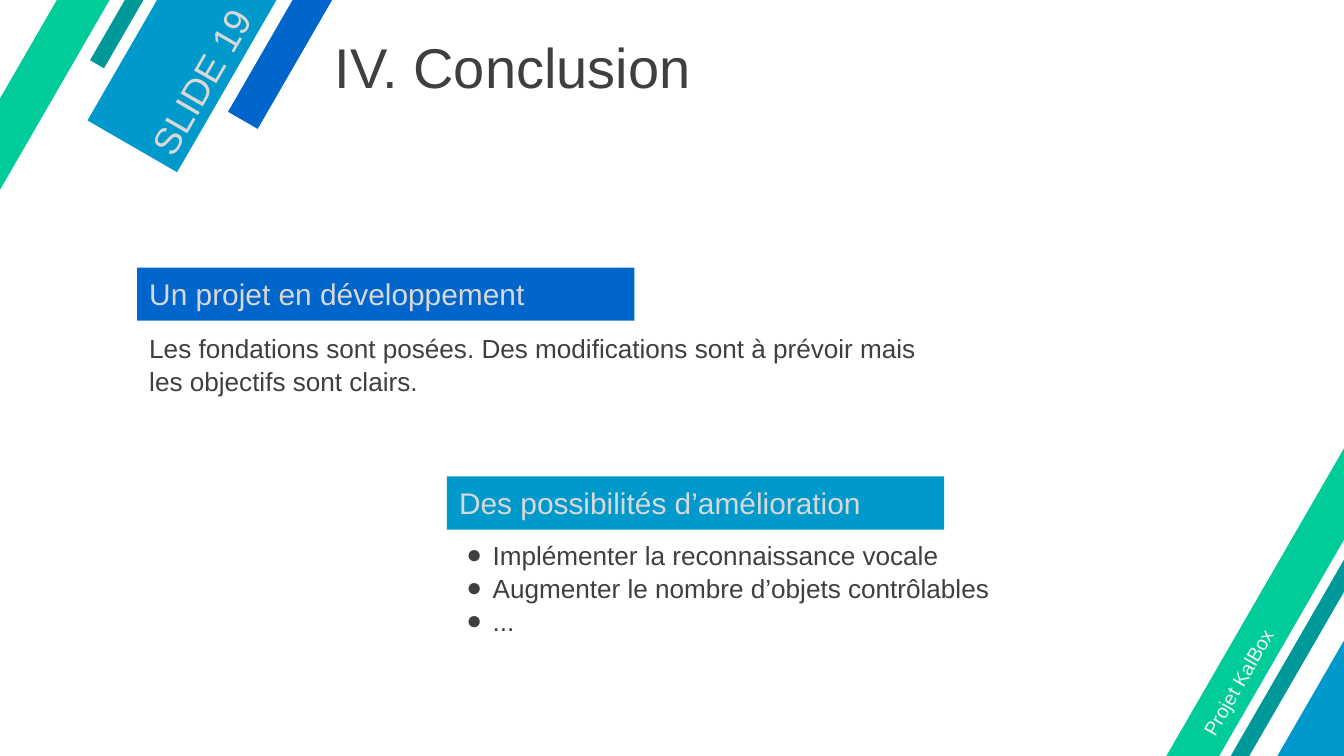
from lxml.etree import SubElement
from pptx import Presentation
from pptx.dml.color import RGBColor
from pptx.enum.shapes import MSO_SHAPE as Shape
from pptx.enum.text import MSO_ANCHOR as Anchor, MSO_AUTO_SIZE as AutoSize, PP_ALIGN as Align
from pptx.oxml.ns import qn
from pptx.util import Pt

BLUE, CYAN, TEAL, GREEN = "0066CC", "0099CC", "009999", "00CC99"
DARK, LIGHT, PALE = "3F3F3F", "D8D8D8", "F2F2F2"
FONT = "Arial"
TILT = 300
STRIPE_LENGTH = 1446

# centre x, centre y, thickness, colour
STRIPES = [
    (621.7, -497.2, 36.7, BLUE),
    (503.3, -469.4, 110.9, CYAN),
    (465.5, -557.3, 17.3, TEAL),
    (302.4, -369.4, 49, GREEN),
    (1707.8, 333.4, 110.9, CYAN),
    (1652.8, 248.4, 17.3, TEAL),
    (1493.3, 437, 49, GREEN),
]

TITLE = ("IV. Conclusion", (345.6, 32.4, 1077.1, 77.8))

# text, box, size, colour
TILTED_LABELS = [
    ("SLIDE 19", (105.8, 47.5, 239, 43.2), 40, LIGHT),
    ("Projet KalBox", (1174.3, 578.2, 455.8, 43.2), 21, PALE),
]

HEADING_SIZE = (532.8, 56.9)
SECTIONS = [
    {
        "heading": "Un projet en développement",
        "fill": BLUE,
        "corner": (146.9, 286.6),
        "lines": ["Les fondations sont posées. Des modifications sont à prévoir mais "
                  "les objectifs sont clairs."],
        "body_top": 347.8,
        "body_width": 851.8,
        "bulleted": False,
    },
    {
        "heading": "Des possibilités d’amélioration",
        "fill": CYAN,
        "corner": (478.8, 510.5),
        "lines": ["Implémenter la reconnaissance vocale",
                  "Augmenter le nombre d’objets contrôlables",
                  "..."],
        "body_top": 569.5,
        "body_width": 791.3,
        "bulleted": True,
    },
]


def rgb(code):
    return RGBColor.from_string(code)


def paint(shape, colour):
    shape.fill.solid()
    shape.fill.fore_color.rgb = rgb(colour)


def place(shape, box):
    shape.left, shape.top, shape.width, shape.height = (Pt(value) for value in box)


def set_bullet(paragraph, bulleted):
    properties = paragraph._p.get_or_add_pPr()
    properties.set("marL", str(Pt(36 if bulleted else 0)))
    properties.set("indent", str(Pt(-28 if bulleted else 0)))
    if bulleted:
        colour = SubElement(properties, qn("a:buClr"))
        SubElement(colour, qn("a:srgbClr"), val=DARK)
        SubElement(properties, qn("a:buFont"), typeface=FONT)
        SubElement(properties, qn("a:buChar"), char="●")
    else:
        SubElement(properties, qn("a:buNone"))


def write(shape, lines, size, colour, anchor=Anchor.MIDDLE, spacing=1, bulleted=False):
    frame = shape.text_frame
    frame.text = "\n".join(lines)
    frame.word_wrap = True
    frame.auto_size = AutoSize.NONE
    frame.vertical_anchor = anchor
    frame.margin_left = frame.margin_right = Pt(13)
    frame.margin_top = frame.margin_bottom = Pt(6.5)
    for paragraph in frame.paragraphs:
        paragraph.alignment = Align.LEFT
        paragraph.line_spacing = spacing
        paragraph.space_before = paragraph.space_after = Pt(0)
        set_bullet(paragraph, bulleted)
        font = paragraph.font
        font.name, font.size, font.bold = FONT, Pt(size), False
        font.color.rgb = rgb(colour)


deck = Presentation()
deck.slide_width, deck.slide_height = Pt(1440), Pt(810)
slide = deck.slides.add_slide(deck.slide_layouts.get_by_name("Comparison"))
shapes = slide.shapes
title, *parts = slide.placeholders

for position, (x, y, thickness, colour) in enumerate(STRIPES, start=2):
    stripe = shapes.add_shape(Shape.RECTANGLE, Pt(x - STRIPE_LENGTH / 2), Pt(y - thickness / 2),
                              Pt(STRIPE_LENGTH), Pt(thickness))
    stripe.rotation = TILT
    stripe.shadow.inherit = False
    paint(stripe, colour)
    stripe.line.fill.background()
    shapes._spTree.insert(position, stripe._element)  # behind the text

title_text, title_box = TITLE
place(title, title_box)
write(title, [title_text], 60, DARK)

for text, box, size, colour in TILTED_LABELS:
    label = shapes.add_textbox(*(Pt(value) for value in box))
    label.rotation = TILT
    write(label, [text], size, colour)

for section, heading, body in zip(SECTIONS, parts[::2], parts[1::2]):
    left, top = section["corner"]
    place(heading, (left, top, *HEADING_SIZE))
    paint(heading, section["fill"])
    write(heading, [section["heading"]], 32, LIGHT)
    place(body, (left, section["body_top"], section["body_width"], 118.8))
    write(body, section["lines"], 28, DARK, Anchor.TOP, 1.05, section["bulleted"])

deck.save("out.pptx")
